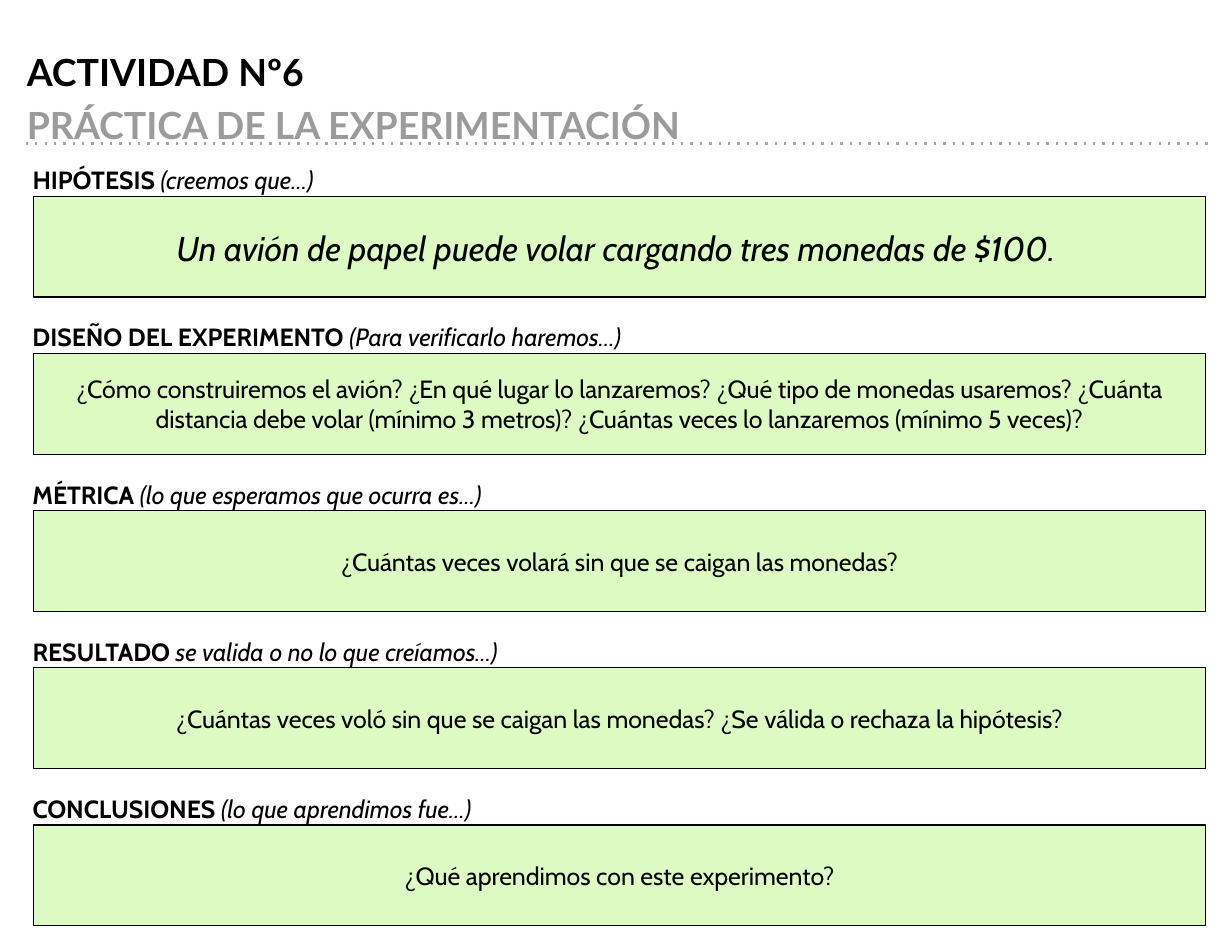
from lxml.etree import SubElement
from pptx import Presentation
from pptx.dml.color import RGBColor
from pptx.enum.dml import MSO_LINE
from pptx.enum.shapes import MSO_CONNECTOR, MSO_SHAPE
from pptx.enum.text import MSO_ANCHOR, PP_ALIGN
from pptx.oxml.ns import qn
from pptx.util import Emu, Pt

PX = 9144
SLIDE_WIDTH = Emu(10044100)
SLIDE_HEIGHT = Emu(7740650)
INSET = 11
COLORS = {"ink": "000000", "subtitle": "9B9B9B", "rule": "A5A5A5", "answer": "DCFAC2"}

SECTIONS = [
    ("HIPÓTESIS ", "(creemos que…)", 431,
     "Un avión de papel puede volar cargando tres monedas de $100. "),
    ("DISEÑO DEL EXPERIMENTO", " (Para verificarlo haremos…)", 617,
     "¿Cómo construiremos el avión? ¿En qué lugar lo lanzaremos? "
     "¿Qué tipo de monedas usaremos? ¿Cuánta distancia debe volar "
     "(mínimo 3 metros)? ¿Cuántas veces lo lanzaremos (mínimo 5 veces)?"),
    ("MÉTRICA ", "(lo que esperamos que ocurra es…)", 483,
     "¿Cuántas veces volará sin que se caigan las monedas?"),
    ("RESULTADO", " se valida o no lo que creíamos…)", 512,
     "¿Cuántas veces voló sin que se caigan las monedas? "
     "¿Se válida o rechaza la hipótesis?"),
    ("CONCLUSIONES", " (lo que aprendimos fue…)", 431,
     "¿Qué aprendimos con este experimento?"),
]


def px(*lengths):
    return [round(length * PX) for length in lengths]


def color(name):
    return RGBColor.from_string(COLORS[name])


def set_frame(frame, anchor=MSO_ANCHOR.TOP):
    frame.word_wrap = True
    frame.vertical_anchor = anchor
    frame.margin_left = frame.margin_right = INSET * PX
    frame.margin_top = frame.margin_bottom = INSET * PX
    return frame.paragraphs[0]


def add_run(paragraph, text, size, font="Cabin", ink="ink", bold=False, italic=False):
    run = paragraph.add_run()
    run.text = text
    run.font.name = font
    run.font.size = Pt(size)
    run.font.bold = bold
    run.font.italic = italic
    run.font.color.rgb = color(ink)


def add_header(slide, left, top, width, height):
    rule_y = top + height - 2
    rule = slide.shapes.add_connector(
        MSO_CONNECTOR.STRAIGHT, *px(left + 10, rule_y, left + width, rule_y))
    rule.line.color.rgb = color("rule")
    rule.line.width = Pt(1.5)
    rule.line.dash_style = MSO_LINE.ROUND_DOT
    properties = rule._element.spPr
    properties.find(f"{qn('a:ln')}/{qn('a:prstDash')}").set("val", "dot")
    SubElement(properties, qn("a:effectLst"))

    titles = [("ACTIVIDAD Nº6", 0, 117, "ink"),
              ("PRÁCTICA DE LA EXPERIMENTACIÓN", 47, 52, "subtitle")]
    for text, offset, title_height, ink in titles:
        title = slide.shapes.add_textbox(*px(left, top + offset, 897, title_height))
        paragraph = set_frame(title.text_frame)
        paragraph.alignment = PP_ALIGN.JUSTIFY
        paragraph.line_spacing = 1.5
        paragraph.space_after = Pt(18)
        add_run(paragraph, text, 24, "Lato", ink, bold=True)


def add_section(slide, left, top, width, height, section, featured):
    name, hint, heading_width, prompt = section
    heading = slide.shapes.add_textbox(*px(left, top, heading_width, 49))
    paragraph = set_frame(heading.text_frame)
    add_run(paragraph, name, 16, bold=True)
    add_run(paragraph, hint, 16, italic=True)

    answer = slide.shapes.add_shape(
        MSO_SHAPE.RECTANGLE, *px(left + 12, top + 39, width - 12, height - 39))
    answer.shadow.inherit = False
    answer.fill.solid()
    answer.fill.fore_color.rgb = color("answer")
    answer.line.color.rgb = color("ink")
    answer.line.width = Pt(0.75)
    paragraph = set_frame(answer.text_frame, MSO_ANCHOR.MIDDLE)
    paragraph.alignment = PP_ALIGN.CENTER
    if featured:
        paragraph.line_spacing = 1.06
    add_run(paragraph, prompt, 22 if featured else 16, italic=featured)


def add_sections(slide, left, top, width, height):
    section_height = 129
    pitch = (height - section_height) / (len(SECTIONS) - 1)
    for index, section in enumerate(SECTIONS):
        add_section(slide, left, top + index * pitch, width, section_height,
                    section, featured=index == 0)


def main():
    deck = Presentation()
    deck.slide_width = SLIDE_WIDTH
    deck.slide_height = SLIDE_HEIGHT
    slide = deck.slides.add_slide(deck.slide_layouts[6])
    add_header(slide, 13, 13, 1069, 117)
    add_sections(slide, 18, 136, 1057, 690)
    deck.save("out.pptx")


if __name__ == "__main__":
    main()
